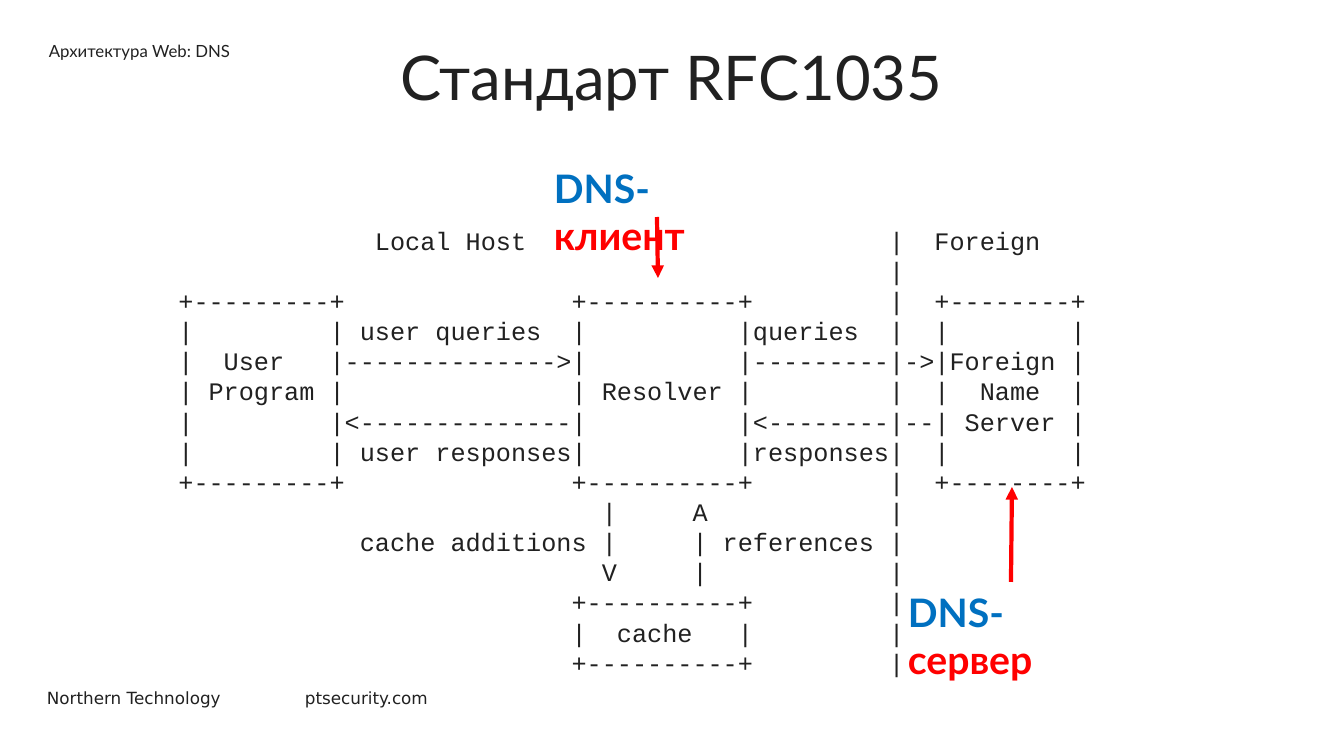
from dataclasses import dataclass

from lxml.etree import SubElement
from pptx import Presentation
from pptx.dml.color import RGBColor
from pptx.enum.shapes import MSO_CONNECTOR
from pptx.enum.text import MSO_ANCHOR, MSO_AUTO_SIZE, PP_ALIGN
from pptx.oxml.ns import qn
from pptx.util import Emu, Pt

SLIDE_WIDTH, SLIDE_HEIGHT = 1344, 756
EMU_PER_PX = 12192000 / SLIDE_WIDTH


@dataclass(frozen=True)
class Theme:
    ink: str = "212121"
    blue: str = "0070C0"
    red: str = "FF0000"
    body_font: str = "Lato"
    code_font: str = "Courier New"
    footer_font: str = "DejaVu Sans"
    title_size: int = 44
    callout_size: int = 28
    code_size: int = 18
    code_leading: float = 21.55
    small_size: int = 12
    arrow_width: int = 3


THEME = Theme()

RFC_DIAGRAM = (
    "                 Local Host                        |  Foreign",
    "                                                   |",
    "    +---------+               +----------+         |  +--------+",
    "    |         | user queries  |          |queries  |  |        |",
    "    |  User   |-------------->|          |---------|->|Foreign |",
    "    | Program |               | Resolver |         |  |  Name  |",
    "    |         |<--------------|          |<--------|--| Server |",
    "    |         | user responses|          |responses|  |        |",
    "    +---------+               +----------+         |  +--------+",
    "                                |     A            |",
    "                cache additions |     | references |",
    "                                V     |            |",
    "                              +----------+         |",
    "                              |  cache   |         |",
    "                              +----------+         |",
)


def px(length):
    return Emu(round(length * EMU_PER_PX))


def write(frame, lines, *, size, font=THEME.body_font, bold=False,
          align=PP_ALIGN.LEFT, leading=None, wrap=True):
    """Fill a text frame; each line is a list of (text, colour) runs."""
    frame.word_wrap = wrap
    frame.auto_size = MSO_AUTO_SIZE.NONE
    frame.vertical_anchor = MSO_ANCHOR.TOP
    for index, line in enumerate(lines):
        paragraph = frame.add_paragraph() if index else frame.paragraphs[0]
        paragraph.alignment = align
        if leading:
            paragraph.line_spacing = Pt(leading)
        for text, colour in line:
            run = paragraph.add_run()
            run.text = text
            run.font.name = font
            run.font.size = Pt(size)
            run.font.bold = bold
            run.font.color.rgb = RGBColor.from_string(colour)


def add_text(slide, box, lines, **text_format):
    textbox = slide.shapes.add_textbox(*map(px, box))
    write(textbox.text_frame, lines, **text_format)


def add_arrow(slide, start, end):
    arrow = slide.shapes.add_connector(
        MSO_CONNECTOR.STRAIGHT, *map(px, (*start, *end)))
    arrow.line.color.rgb = RGBColor.from_string(THEME.red)
    arrow.line.width = Pt(THEME.arrow_width)
    properties = arrow._element.spPr
    SubElement(properties.find(qn("a:ln")), qn("a:tailEnd"), type="triangle")
    SubElement(properties, qn("a:effectLst"))


def add_header(slide, box):
    left, top, width, height = box
    title = slide.shapes.title
    title.left, title.top, title.width, title.height = map(
        px, (left + 224, top, width - 448, height))
    write(title.text_frame, [[("Стандарт RFC1035", THEME.ink)]],
          size=THEME.title_size, align=PP_ALIGN.CENTER)
    add_text(slide, (left, top + 2, 298, 40),
             [[("Архитектура Web: DNS", THEME.ink)]], size=THEME.small_size)


def add_diagram(slide, box):
    lines = [[(line, THEME.ink)] for line in RFC_DIAGRAM]
    add_text(slide, box, lines, size=THEME.code_size, font=THEME.code_font,
             leading=THEME.code_leading)


def add_callout(slide, box, role, arrow_start, arrow_end):
    """Label a DNS role, with an arrow given relative to the label's corner."""
    left, top = box[:2]
    add_arrow(slide, *((left + x, top + y) for x, y in (arrow_start, arrow_end)))
    add_text(slide, box, [[("DNS-", THEME.blue), (role, THEME.red)]],
             size=THEME.callout_size, bold=True)


def add_footer(slide, box):
    left, top, width, height = box
    company_width = 200
    site_left = left + 258
    for text, x, text_width in (
            ("Northern Technology", left, company_width),
            ("ptsecurity.com", site_left, left + width - site_left)):
        add_text(slide, (x, top, text_width, height), [[(text, THEME.ink)]],
                 size=THEME.small_size, font=THEME.footer_font, wrap=False)


def build_rfc_slide(presentation):
    title_only = presentation.slide_layouts[5]
    slide = presentation.slides.add_slide(title_only)
    add_footer(slide, (37, 683, 403, 30))
    add_header(slide, (39, 34, 1265, 85))
    add_diagram(slide, (108, 220, 997, 466))
    add_callout(slide, (544, 159, 226, 58), "клиент", (113, 58), (114, 119))
    add_callout(slide, (898, 583, 226, 58), "сервер", (113, -1), (114, -96))


def main():
    presentation = Presentation()
    presentation.slide_width = px(SLIDE_WIDTH)
    presentation.slide_height = px(SLIDE_HEIGHT)
    build_rfc_slide(presentation)
    presentation.save("out.pptx")


if __name__ == "__main__":
    main()
